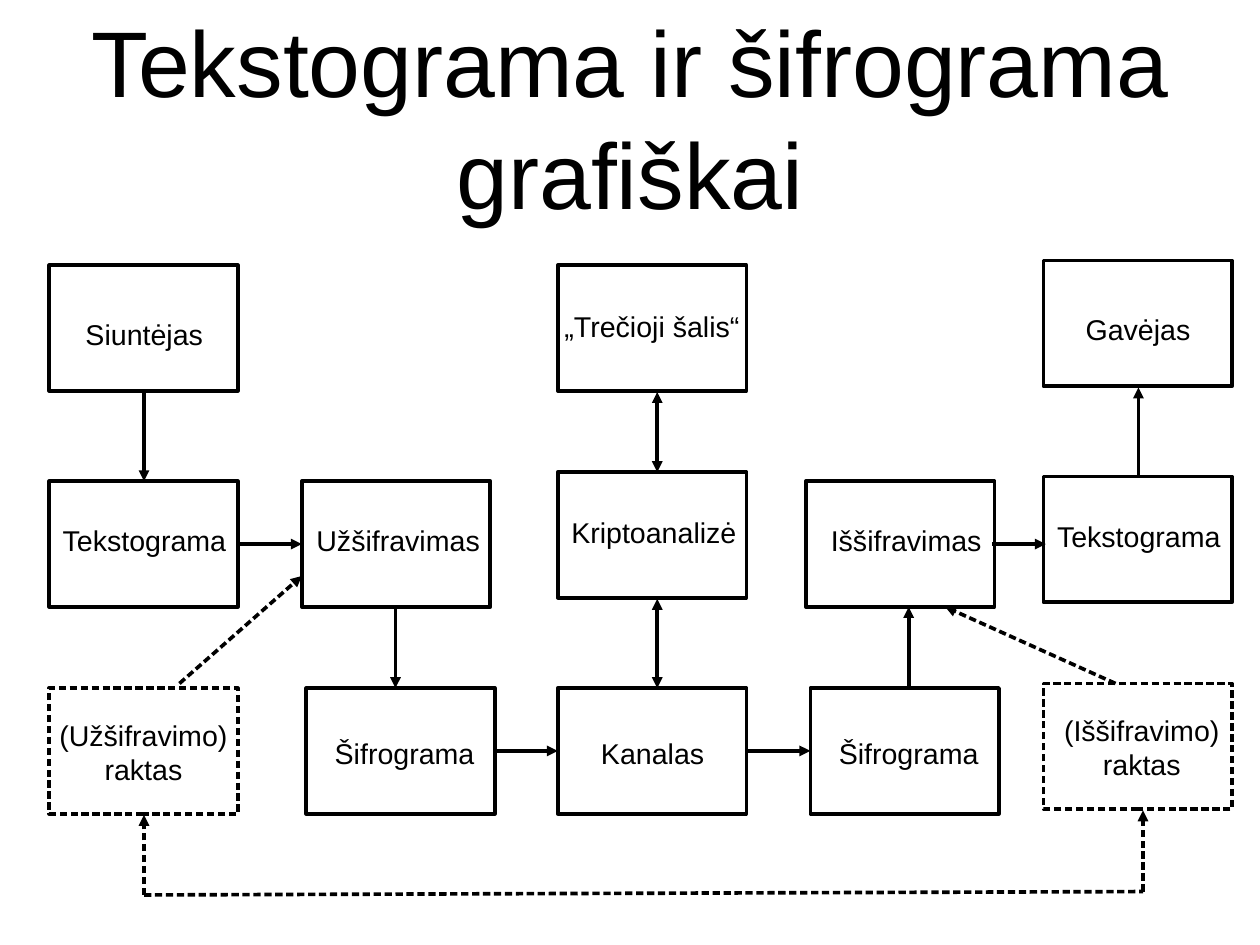
from dataclasses import dataclass

from lxml.etree import SubElement
from pptx import Presentation
from pptx.dml.color import RGBColor
from pptx.enum.shapes import MSO_CONNECTOR as Connector, MSO_SHAPE as Shape
from pptx.enum.text import MSO_ANCHOR as Anchor, MSO_AUTO_SIZE as AutoSize, PP_ALIGN as Align
from pptx.oxml.ns import qn
from pptx.util import Inches, Pt


@dataclass(frozen=True)
class Theme:
    ink: RGBColor = RGBColor(0, 0, 0)
    font: str = "Arial"
    title_size: float = 58.7
    label_size: float = 18
    line_width: float = 2.3


THEME = Theme()
CM_PER_INCH = 2.54
PAGE_CM = (28, 21)
BOX_SIZE = (1.65, 1.1)
LABEL_HEIGHTS = {1: 0.38, 2: 0.66}

# Lines of text, box left and top, label left, top and width
STEPS = [
    (["Siuntėjas"], (0.43, 2.32), (0.65, 2.72, 1.23)),
    (["Tekstograma"], (0.43, 4.21), (0.45, 4.53, 1.63)),
    (["Gavėjas"], (9.13, 2.28), (9.4, 2.68, 1.13)),
    (["Tekstograma"], (9.13, 4.17), (9.15, 4.49, 1.63)),
    (["Užšifravimas"], (2.64, 4.21), (2.67, 4.53, 1.63)),
    (["Iššifravimas"], (7.05, 4.21), (7.17, 4.53, 1.52)),
    (["Šifrograma"], (2.68, 6.02), (2.83, 6.39, 1.42)),
    (["Kanalas"], (4.88, 6.02), (5.16, 6.39, 1.1)),
    (["Šifrograma"], (7.09, 6.02), (7.24, 6.39, 1.42)),
    (["„Trečioji šalis“"], (4.88, 2.32), (4.84, 2.65, 1.73)),
    (["Kriptoanalizė"], (4.88, 4.13), (4.9, 4.46, 1.66)),
]
KEYS = [
    (["(Užšifravimo)", "raktas"], (0.43, 6.02), (0.42, 6.23, 1.67)),
    (["(Iššifravimo)", "raktas"], (9.13, 5.98), (9.21, 6.19, 1.56)),
]

FLOW_ARROWS = [
    ((1.26, 3.43), (1.26, 4.21)),
    ((9.96, 4.17), (9.96, 3.39)),
    ((2.09, 4.76), (2.64, 4.76)),
    ((3.46, 5.31), (3.46, 6.02)),
    ((6.54, 6.57), (7.09, 6.57)),
    ((8.68, 4.76), (9.15, 4.76)),
    ((4.33, 6.57), (4.88, 6.57)),
    ((7.95, 6.02), (7.95, 5.31)),
]
TWO_WAY_ARROWS = [
    ((5.75, 3.43), (5.75, 4.13)),
    ((5.75, 5.24), (5.75, 6.02)),
]
KEY_ARROWS = [
    ((9.76, 5.98), (8.27, 5.31)),
    ((1.57, 5.98), (2.64, 5.04)),
    ((10, 7.8), (10, 7.09)),
    ((1.26, 7.83), (1.26, 7.13)),
]
KEY_LINK = ((1.26, 7.83), (10, 7.8))


def inches(values):
    return [Inches(value) for value in values]


def draw_outline(shape, dashed):
    """Set colour, width and dashes, and return the outline element."""
    shape.line.color.rgb = THEME.ink
    shape.line.width = Pt(THEME.line_width)
    outline = shape._element.spPr.find(qn("a:ln"))
    if dashed:
        pattern = SubElement(outline, qn("a:custDash"))
        SubElement(pattern, qn("a:ds"), d="200000", sp="100000")
    return outline


def add_text(page, bounds, lines, size, align, frame_format):
    frame = page.shapes.add_textbox(*inches(bounds)).text_frame
    for name, value in frame_format.items():
        setattr(frame, name, value)
    frame.text = "\n".join(lines)
    for para in frame.paragraphs:
        para.alignment = align
        for span in para.runs:
            span.font.name = THEME.font
            span.font.size = Pt(size)
            span.font.color.rgb = THEME.ink


def add_title(page, text):
    margins = dict.fromkeys(
        ("margin_left", "margin_top", "margin_right", "margin_bottom"), 0)
    frame_format = {"word_wrap": True, "vertical_anchor": Anchor.MIDDLE, **margins}
    add_text(page, (0.55, 0.11, 9.92, 1.82), [text], THEME.title_size,
             Align.CENTER, frame_format)


def add_node(page, lines, corner, label, dashed=False):
    """Draw an unfilled box with its label on top."""
    box = page.shapes.add_shape(Shape.RECTANGLE, *inches(corner + BOX_SIZE))
    box.shadow.inherit = False
    box.fill.background()
    draw_outline(box, dashed)
    align = Align.CENTER if len(lines) > 1 else Align.LEFT
    add_text(page, label + (LABEL_HEIGHTS[len(lines)],), lines, THEME.label_size, align,
             {"word_wrap": False, "auto_size": AutoSize.SHAPE_TO_FIT_TEXT})


def add_line(page, start, end, heads=(), dashed=False):
    """Draw a straight line; heads lists the ends that carry a triangle."""
    link = page.shapes.add_connector(Connector.STRAIGHT, *inches(start + end))
    outline = draw_outline(link, dashed)
    for head in heads:
        SubElement(outline, qn(head), type="triangle")
    SubElement(link._element.spPr, qn("a:effectLst"))


def main():
    deck = Presentation()
    deck.slide_width, deck.slide_height = inches(side / CM_PER_INCH for side in PAGE_CM)
    page = deck.slides.add_slide(deck.slide_layouts[6])
    add_title(page, "Tekstograma ir šifrograma grafiškai")
    for step in STEPS:
        add_node(page, *step)
    for key in KEYS:
        add_node(page, *key, dashed=True)
    for ends in FLOW_ARROWS:
        add_line(page, *ends, heads=["a:tailEnd"])
    for ends in TWO_WAY_ARROWS:
        add_line(page, *ends, heads=["a:headEnd", "a:tailEnd"])
    for ends in KEY_ARROWS:
        add_line(page, *ends, heads=["a:tailEnd"], dashed=True)
    add_line(page, *KEY_LINK, dashed=True)
    deck.save("out.pptx")


if __name__ == "__main__":
    main()
